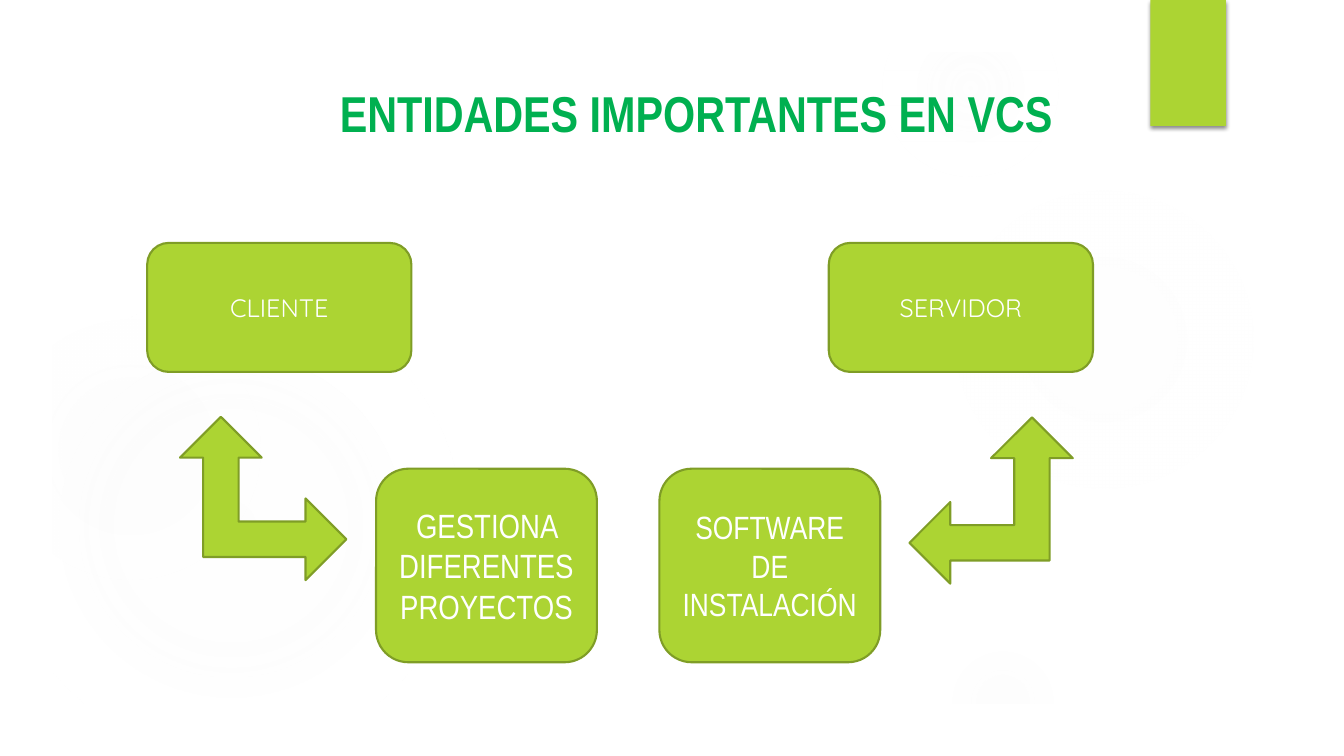
from pptx import Presentation
from pptx.dml.color import RGBColor
from pptx.enum.shapes import MSO_SHAPE
from pptx.enum.text import MSO_ANCHOR, PP_ALIGN
from pptx.oxml import parse_xml
from pptx.oxml.ns import nsdecls
from pptx.util import Inches, Pt

GREEN, EDGE, WHITE, HALO = "ACD433", "7F9D26", "FFFFFF", "F7F7F7"
TITLE = "ENTIDADES IMPORTANTES EN VCS"
HALOS = [
    (0, 2.92, 4.58, [(0, 11), (36, 10), (75, 0)]),
    (0, 3.17, 2.58, [(0, 8), (36, 8), (72, 0)]),
    (9.41, 1.83, 3.08, [(0, 7), (36, 6), (69, 0)]),
    (8.75, 0, 1.75, [(0, 14), (36, 7), (73, 0)]),
    (9.41, 6.42, 1.08, [(0, 14), (36, 7), (66, 0)]),
]
ENTITY = dict(top=2.41, width=2.62, height=1.28, font="Quicksand", size=18)
ROLE = dict(top=4.65, width=2.19, height=1.92, font="Arial Narrow", size=24)
BOXES = [
    ("CLIENTE", 1.46, ENTITY),
    ("SERVIDOR", 8.22, ENTITY),
    ("GESTIONA DIFERENTES PROYECTOS", 3.73, ROLE),
    ("SOFTWARE DE INSTALACIÓN", 6.54, {**ROLE, "size": 23}),
]
ARROWS = [(9.02, 4.14, 0), (1.8, 4.12, 90)]


def color(value):
    return RGBColor.from_string(value)


def add_shape(kind, left, top, width, height, fill=GREEN, line=None):
    sp = s.shapes.add_shape(kind, Inches(left), Inches(top), Inches(width), Inches(height))
    sp.shadow.inherit = False
    sp.fill.solid()
    sp.fill.fore_color.rgb = color(fill)
    if line:
        sp.line.color.rgb = color(line)
        sp.line.width = Pt(1.5)
    else:
        sp.line.fill.background()
    return sp


def write(sp, text, font, size, fill=WHITE, bold=False, align=PP_ALIGN.CENTER):
    tf = sp.text_frame
    tf.word_wrap = True
    tf.vertical_anchor = MSO_ANCHOR.MIDDLE
    p = tf.paragraphs[0]
    p.alignment = align
    r = p.add_run()
    r.text = text
    r.font.name, r.font.size, r.font.bold = font, Pt(size), bold
    r.font.color.rgb = color(fill)


def fade(sp, stops):
    gs = "".join(
        f'<a:gs pos="{pos * 1000}"><a:srgbClr val="{HALO}"><a:alpha val="{alpha * 1000}"/></a:srgbClr></a:gs>'
        for pos, alpha in stops)
    grad = parse_xml(
        f'<a:gradFill {nsdecls("a")}><a:gsLst>{gs}</a:gsLst><a:path path="circle">'
        '<a:fillToRect l="50000" t="50000" r="50000" b="50000"/></a:path></a:gradFill>')
    pr = sp.element.spPr
    pr.replace(pr.find("{*}solidFill"), grad)


def cast_shadow(sp):
    effects = sp.element.spPr.find("{*}effectLst")
    effects.append(parse_xml(
        f'<a:outerShdw {nsdecls("a")} blurRad="{Pt(3)}" dist="{Pt(2)}" dir="5400000" rotWithShape="0">'
        '<a:srgbClr val="000000"><a:alpha val="45000"/></a:srgbClr></a:outerShdw>'))


prs = Presentation()
prs.slide_width, prs.slide_height = Inches(13.33), Inches(7.5)
s = prs.slides.add_slide(prs.slide_layouts[5])

for left, top, size, stops in HALOS:
    fade(add_shape(MSO_SHAPE.OVAL, left, top, size, size), stops)
frame = add_shape(MSO_SHAPE.FRAME, 0, 0, 13.33, 7.5, WHITE)
frame.adjustments[0] = 0.52 / 7.5
cast_shadow(add_shape(MSO_SHAPE.RECTANGLE, 11.41, 0, 0.75, 1.25))

title = s.shapes.title
title.left, title.top, title.width, title.height = map(Inches, (3.27, 0.66, 7.6, 0.9))
write(title, TITLE, "Arial Narrow", 36, "00B050", True, PP_ALIGN.LEFT)
s.shapes.element.append(title.element)

for text, left, b in BOXES:
    box = add_shape(MSO_SHAPE.ROUNDED_RECTANGLE, left, b["top"], b["width"], b["height"], line=EDGE)
    write(box, text, b["font"], b["size"])

for left, top, turn in ARROWS:
    arrow = add_shape(MSO_SHAPE.LEFT_UP_ARROW, left, top, 1.62, 1.65, line=EDGE)
    arrow.adjustments[0] = 0.217
    arrow.rotation = turn

prs.save("out.pptx")
